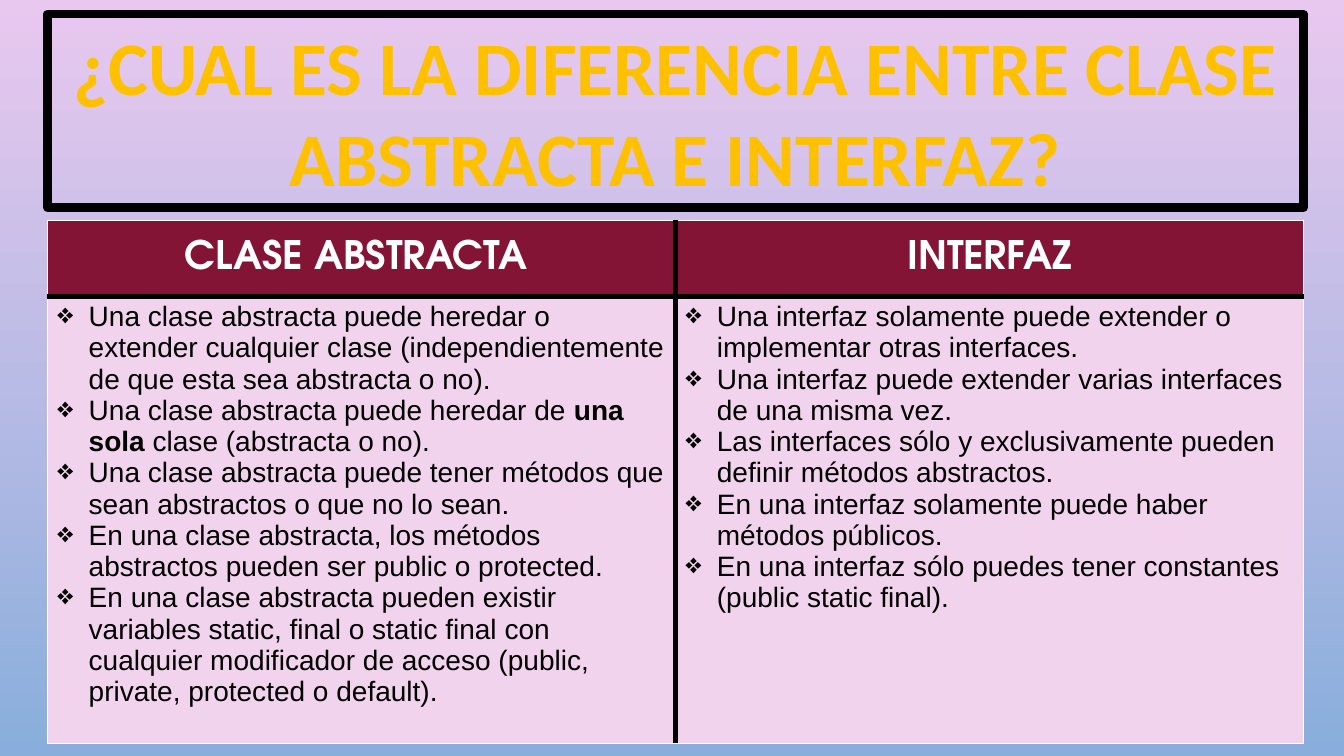
from lxml import etree
from pptx import Presentation
from pptx.dml.color import RGBColor
from pptx.enum.shapes import MSO_SHAPE
from pptx.enum.text import MSO_ANCHOR, MSO_AUTO_SIZE, PP_ALIGN
from pptx.oxml.ns import qn
from pptx.util import Inches, Pt

RECT = MSO_SHAPE.RECTANGLE
MIDDLE, TOP = MSO_ANCHOR.MIDDLE, MSO_ANCHOR.TOP
CENTER, LEFT = PP_ALIGN.CENTER, PP_ALIGN.LEFT
GROW = MSO_AUTO_SIZE.SHAPE_TO_FIT_TEXT

WIDTH, HEIGHT = 13.33, 7.5
MARGIN = 0.47
BODY_WIDTH = 12.46
HEADER_HEIGHT, BODY_HEIGHT = 0.75, 4.44
INDENT = 0.31
BLACK, WHITE = "000000", "FFFFFF"
INNER, OUTER = (BLACK, 4.5), (WHITE, 1)

TITLE_FONT = {"name": "Calibri", "size": Pt(54), "bold": True}
HEADER_FONT = {"name": "TeX Gyre Adventor", "size": Pt(28), "bold": True}
BODY_FONT = {"name": "Arial", "size": Pt(20), "bold": False}

TITLE = "¿CUAL ES LA DIFERENCIA ENTRE CLASE ABSTRACTA E INTERFAZ?"
COLUMNS = [
    ("CLASE ABSTRACTA ", [
        "Una clase abstracta puede heredar o extender cualquier clase "
        "(independientemente de que esta sea abstracta o no).",
        "Una clase abstracta puede heredar de *una sola* clase (abstracta o no).",
        "Una clase abstracta puede tener métodos que sean abstractos o que no lo sean.",
        "En una clase abstracta, los métodos abstractos pueden ser public o protected.",
        "En una clase abstracta pueden existir variables static, final o static final "
        "con cualquier modificador de acceso (public, private, protected o default).",
    ]),
    ("INTERFAZ", [
        "Una interfaz solamente puede extender o implementar otras interfaces.",
        "Una interfaz puede extender varias interfaces de una misma vez.",
        "Las interfaces sólo y exclusivamente pueden definir métodos abstractos.",
        "En una interfaz solamente puede haber métodos públicos.",
        "En una interfaz sólo puedes tener constantes (public static final).",
    ]),
]


def rgb(color):
    return RGBColor.from_string(color)


def add_line(parent, tag, color, width):
    ln = etree.SubElement(parent, qn(tag), w=str(Pt(width)))
    fill = etree.SubElement(ln, qn("a:solidFill"))
    etree.SubElement(fill, qn("a:srgbClr"), val=color)
    return ln


def add_run(p, text, font, color, **changes):
    r = p.add_run()
    r.text = text
    for name, value in {**font, **changes}.items():
        setattr(r.font, name, value)
    r.font.color.rgb = rgb(color)
    return r


def add_bullet(p, text):
    p.alignment = LEFT
    pPr = p._p.get_or_add_pPr()
    pPr.set("marL", str(Inches(INDENT)))
    pPr.set("indent", str(-Inches(INDENT)))
    etree.SubElement(pPr, qn("a:buChar"), char="❖")
    for i, part in enumerate(text.split("*")):
        add_run(p, part, BODY_FONT, BLACK, bold=i % 2 == 1)


def style_cell(cell, row, col, color, anchor):
    tcPr = cell._tc.get_or_add_tcPr()
    inner_sides = {"L": col == 1, "R": col == 0, "T": row == 1, "B": row == 0}
    for side, inner in inner_sides.items():
        add_line(tcPr, f"a:ln{side}", *(INNER if inner else OUTER))
    cell.fill.solid()
    cell.fill.fore_color.rgb = rgb(color)
    cell.vertical_anchor = anchor


def add_background(s):
    fill = s.background.fill
    fill.gradient()
    fill.gradient_angle = 270
    for stop, color, position in zip(fill.gradient_stops, ("E9C8EF", "89AEDB"), (0, 1)):
        stop.color.rgb = rgb(color)
        stop.position = position


def add_title(s, x, y, w, h):
    sp = s.shapes.add_shape(RECT, Inches(x), Inches(y), Inches(w), Inches(h))
    sp.shadow.inherit = False
    sp.fill.background()
    sp.line.color.rgb = rgb(BLACK)
    sp.line.width = Pt(6)
    etree.SubElement(sp.line._get_or_add_ln(), qn("a:round"))
    tf = sp.text_frame
    for name, value in {"word_wrap": True, "auto_size": GROW, "vertical_anchor": MIDDLE}.items():
        setattr(tf, name, value)
    p = tf.paragraphs[0]
    p.alignment = CENTER
    r = add_run(p, TITLE, TITLE_FONT, "FFC000")
    rPr = r.font._element
    rPr.insert(0, add_line(rPr, "a:ln", BLACK, 3))


def add_comparison(s, x, y, w, h):
    table = s.shapes.add_table(2, len(COLUMNS), Inches(x), Inches(y), Inches(w), Inches(h)).table
    table.rows[0].height = Inches(HEADER_HEIGHT)
    table.rows[1].height = Inches(h - HEADER_HEIGHT)
    for col, (heading, points) in enumerate(COLUMNS):
        table.columns[col].width = Inches(w / len(COLUMNS))
        header, body = table.cell(0, col), table.cell(1, col)
        style_cell(header, 0, col, "831436", MIDDLE)
        style_cell(body, 1, col, "F2D3ED", TOP)
        p = header.text_frame.paragraphs[0]
        p.alignment = CENTER
        add_run(p, heading, HEADER_FONT, WHITE)
        tf = body.text_frame
        for i, point in enumerate(points):
            add_bullet(tf.add_paragraph() if i else tf.paragraphs[0], point)


def main():
    prs = Presentation()
    prs.slide_width, prs.slide_height = Inches(WIDTH), Inches(HEIGHT)
    s = prs.slides.add_slide(prs.slide_layouts[6])
    add_background(s)
    add_title(s, MARGIN, 0.14, BODY_WIDTH, 1.92)
    add_comparison(s, MARGIN, 2.19, BODY_WIDTH, HEADER_HEIGHT + BODY_HEIGHT)
    prs.save("out.pptx")


if __name__ == "__main__":
    main()
